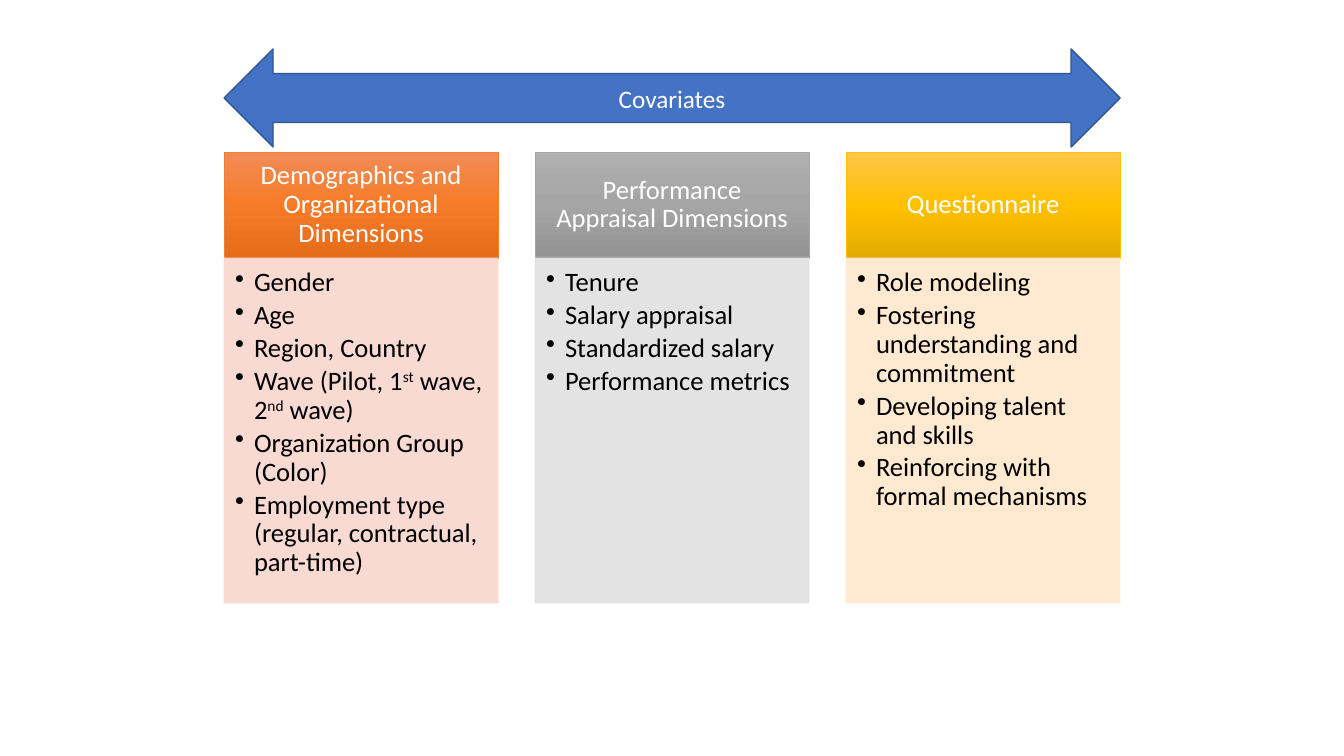
from dataclasses import dataclass

from lxml.etree import SubElement
from pptx import Presentation
from pptx.dml.color import RGBColor
from pptx.enum.shapes import MSO_SHAPE as Shape
from pptx.enum.text import MSO_ANCHOR as Anchor, PP_ALIGN as Align
from pptx.oxml.ns import qn
from pptx.util import Pt

PX = 12192000 // 1344 + 1
SLIDE_W, SLIDE_H = 12192000, 6858000
LEFT, PITCH, COL_W = 224, 311, 274
HEAD_Y, HEAD_H, BODY_H = 152, 106, 345
INDENT = 19


@dataclass
class Column:
    title: str
    gradient: tuple[str, str, str]
    border: str
    tint: str
    items: tuple[str, ...]


COLUMNS = [
    Column("Demographics and Organizational Dimensions",
           ("F18C57", "F67B28", "E56C19"), "ED7D31", "F8D7CE",
           ("Gender", "Age", "Region, Country",
            "Wave (Pilot, 1^st^ wave, 2^nd^ wave)",
            "Organization Group (Color)",
            "Employment type (regular, contractual, part-time)")),
    Column("Performance Appraisal Dimensions",
           ("AFAFAF", "A5A5A5", "939393"), "A5A5A5", "E1E1E1",
           ("Tenure", "Salary appraisal", "Standardized salary",
            "Performance metrics")),
    Column("Questionnaire",
           ("FFC64B", "FFC000", "E3AB00"), "FFC000", "FFE8CC",
           ("Role modeling", "Fostering understanding and commitment",
            "Developing talent and skills",
            "Reinforcing with formal mechanisms")),
]


def px(n: int) -> int:
    return n * PX


def rgb(value: str) -> RGBColor:
    return RGBColor.from_string(value)


def add_box(slide, kind, x: int, y: int, w: int, h: int,
            line: str, line_pt: float):
    sp = slide.shapes.add_shape(kind, px(x), px(y), px(w), px(h))
    sp.shadow.inherit = False
    sp.line.color.rgb = rgb(line)
    sp.line.width = Pt(line_pt)
    sp.text_frame.word_wrap = True
    return sp


def set_insets(tf, left: int, top: int, right: int, bottom: int) -> None:
    tf.margin_left, tf.margin_top = px(left), px(top)
    tf.margin_right, tf.margin_bottom = px(right), px(bottom)


def fill_gradient(sp, colors: tuple[str, str, str]) -> None:
    sp.fill.gradient()
    sp.fill.gradient_angle = 270
    stops = sp._element.spPr.find(qn("a:gradFill")).find(qn("a:gsLst"))
    stops.clear()
    for i, color in enumerate(colors):
        gs = SubElement(stops, qn("a:gs"), pos=str(i * 50000))
        SubElement(gs, qn("a:srgbClr"), val=color)


def add_runs(p, text: str, size: int, color: str) -> None:
    for i, part in enumerate(text.split("^")):
        r = p.add_run()
        r.text = part
        r.font.name = "Calibri"
        r.font.size = Pt(size)
        r.font.color.rgb = rgb(color)
        if i % 2:
            r._r.get_or_add_rPr().set("baseline", "30000")


def add_header(slide, col: Column, x: int) -> None:
    sp = add_box(slide, Shape.RECTANGLE, x, HEAD_Y, COL_W, HEAD_H, col.border, 0.5)
    fill_gradient(sp, col.gradient)
    tf = sp.text_frame
    tf.vertical_anchor = Anchor.MIDDLE
    set_insets(tf, 15, 8, 15, 8)
    p = tf.paragraphs[0]
    p.alignment = Align.CENTER
    p.line_spacing = 0.9
    add_runs(p, col.title, 19, "FFFFFF")


def add_body(slide, col: Column, x: int) -> None:
    sp = add_box(slide, Shape.RECTANGLE, x, HEAD_Y + HEAD_H, COL_W, BODY_H,
                 col.tint, 0.5)
    sp.fill.solid()
    sp.fill.fore_color.rgb = rgb(col.tint)
    for clr in sp._element.spPr.iter(qn("a:srgbClr")):
        SubElement(clr, qn("a:alpha"), val="90000")
    tf = sp.text_frame
    tf.vertical_anchor = Anchor.TOP
    set_insets(tf, 11, 11, 15, 17)
    for i, item in enumerate(col.items):
        p = tf.add_paragraph() if i else tf.paragraphs[0]
        pPr = p._p.get_or_add_pPr()
        pPr.set("marL", str(px(INDENT)))
        pPr.set("indent", str(-px(INDENT)))
        SubElement(pPr, qn("a:buChar"), char="•")
        p.level = 1
        p.alignment = Align.LEFT
        p.line_spacing = 0.9
        p.space_after = Pt(3)
        add_runs(p, item, 19, "000000")


def add_covariates(slide) -> None:
    width = 2 * PITCH + COL_W
    sp = add_box(slide, Shape.LEFT_RIGHT_ARROW, LEFT, 49, width, 98, "325491", 1)
    sp.fill.solid()
    sp.fill.fore_color.rgb = rgb("4472C4")
    tf = sp.text_frame
    tf.vertical_anchor = Anchor.MIDDLE
    p = tf.paragraphs[0]
    p.alignment = Align.CENTER
    add_runs(p, "Covariates", 18, "FFFFFF")


def main() -> None:
    prs = Presentation()
    prs.slide_width, prs.slide_height = SLIDE_W, SLIDE_H
    slide = prs.slides.add_slide(prs.slide_layouts[6])
    for i, col in enumerate(COLUMNS):
        x = LEFT + i * PITCH
        add_header(slide, col, x)
        add_body(slide, col, x)
    add_covariates(slide)
    prs.save("out.pptx")


if __name__ == "__main__":
    main()
